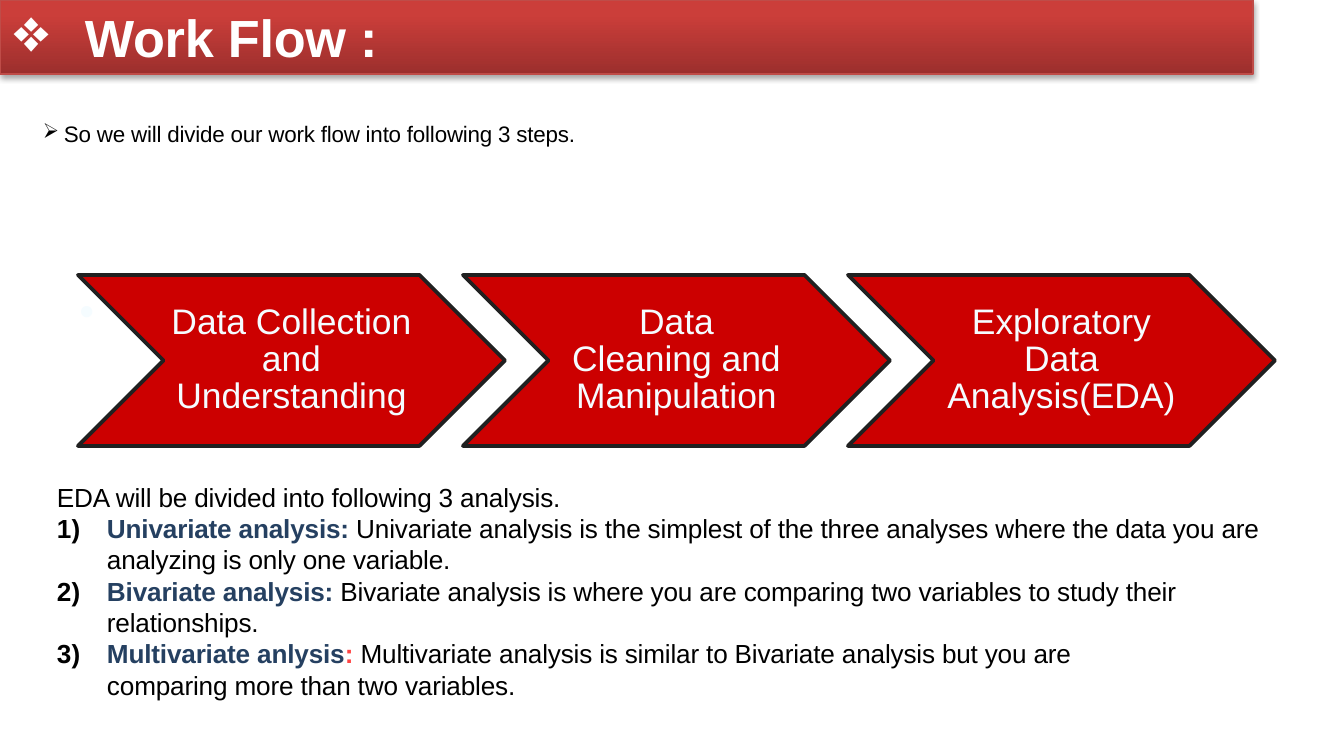
from lxml.etree import SubElement
from pptx import Presentation
from pptx.dml.color import RGBColor
from pptx.enum.shapes import MSO_SHAPE
from pptx.enum.text import MSO_ANCHOR, PP_ALIGN
from pptx.oxml.ns import qn
from pptx.util import Pt

SCALE = 914400 / 134.4
WHITE = RGBColor(0xFF, 0xFF, 0xFF)
BLACK = RGBColor(0, 0, 0)
PALE = RGBColor(0xF5, 0xFC, 0xFF)
RED = RGBColor(0xCC, 0, 0)
DARK = RGBColor(0x20, 0x20, 0x20)
NAVY = RGBColor(0x25, 0x40, 0x61)
CORAL = RGBColor(0xFF, 0x46, 0x46)
EDGE = RGBColor(0xBF, 0x4C, 0x48)
LOW = RGBColor(0x9C, 0x2F, 0x2D)
HIGH = RGBColor(0xCB, 0x3E, 0x3A)

STEPS = [
    "Data Collection\vand\vUnderstanding",
    "Data\vCleaning and\vManipulation",
    "Exploratory\vData\vAnalysis(EDA)",
]
KINDS = [
    [("Univariate analysis: ", NAVY),
     ("Univariate analysis is the simplest of the three analyses where "
      "the data you are analyzing is only one variable.", None)],
    [("Bivariate analysis: ", NAVY),
     ("Bivariate analysis is where you are comparing two variables to "
      "study their relationships.", None)],
    [("Multivariate anlysis", NAVY), (": ", CORAL),
     ("Multivariate analysis is similar to Bivariate analysis but you are",
      None),
     ("\v", None),
     ("comparing more than two variables.", None)],
]


def px(num):
    """Turn pixels into EMU."""
    return round(num * SCALE)


def style(para, size, color, bold=False):
    """Set the font of a whole paragraph."""
    font = para.font
    font.name, font.size, font.bold = "Arial", Pt(size), bold
    font.color.rgb = color


def write(para, text):
    """Add a slightly tightened run."""
    run = para.add_run()
    run.text = text
    run._r.get_or_add_rPr().set("spc", "-10")
    return run


def mark(para, left, hang, tag, **attrs):
    """Give a paragraph a hanging bullet or number."""
    props = para._p.get_or_add_pPr()
    props.set("marL", str(px(left)))
    props.set("indent", str(-px(hang)))
    if "size" in attrs:
        SubElement(props, qn("a:buSzPct"), val=attrs.pop("size"))
    SubElement(props, qn("a:" + tag), **attrs)


def clear(frame):
    """Wrap the text and drop the insets."""
    frame.word_wrap = True
    frame.margin_left = frame.margin_right = 0
    frame.margin_top = frame.margin_bottom = 0
    return frame


def add_text(slide, box):
    """Add a text box without insets and return its frame."""
    return clear(slide.shapes.add_textbox(*map(px, box)).text_frame)


def add_block(slide, kind, box, edge, width):
    """Add an outlined shape without a shadow."""
    shape = slide.shapes.add_shape(kind, *map(px, box))
    shape.shadow.inherit = False
    shape.line.color.rgb = edge
    shape.line.width = Pt(width)
    frame = clear(shape.text_frame)
    frame.vertical_anchor = MSO_ANCHOR.MIDDLE
    return shape


def add_title(slide, box):
    """Draw the shaded title bar."""
    bar = add_block(slide, MSO_SHAPE.RECTANGLE, box, EDGE, 0.75)
    bar.fill.gradient()
    bar.fill.gradient_angle = 90
    for stop, place, color in zip(bar.fill.gradient_stops, (0, 0.8),
                                  (LOW, HIGH)):
        stop.position = place
        stop.color.rgb = color
    glow = SubElement(bar._element.spPr.find(qn("a:effectLst")),
                      qn("a:outerShdw"), blurRad=str(Pt(3.1)),
                      dist=str(Pt(1.8)), dir="5400000", rotWithShape="0")
    tint = SubElement(glow, qn("a:srgbClr"), val="000000")
    SubElement(tint, qn("a:alpha"), val="35000")
    para = bar.text_frame.paragraphs[0]
    para.alignment = PP_ALIGN.LEFT
    mark(para, 85, 71, "buChar", size="117000", char="❖")
    style(para, 28, WHITE, True)
    write(para, "Work Flow :")


def add_intro(slide, box):
    """Write the bulleted opening line."""
    para = add_text(slide, box).paragraphs[0]
    mark(para, 21, 21, "buChar", size="93000", char="➢")
    style(para, 12, BLACK)
    write(para, "So we will divide our work flow into following 3 steps.")


def add_dot(slide, box):
    """Set the pale dot beside the first step."""
    para = add_text(slide, box).paragraphs[0]
    style(para, 14, PALE)
    write(para, "●")


def add_steps(slide, box):
    """Lay out the chevrons at an even pitch across the box."""
    left, top, width, height = box
    wide = 427
    pitch = (width - wide) / (len(STEPS) - 1)
    for i, label in enumerate(STEPS):
        step = add_block(slide, MSO_SHAPE.CHEVRON,
                         (left + i * pitch, top, wide, height), DARK, 2)
        step.fill.solid()
        step.fill.fore_color.rgb = RED
        SubElement(step.line._get_or_add_ln(), qn("a:round"))
        para = step.text_frame.paragraphs[0]
        para.text = label
        para.alignment = PP_ALIGN.CENTER
        para.line_spacing = 0.86
        style(para, 19, PALE)


def add_kinds(slide, box):
    """Write the numbered list of analyses."""
    frame = add_text(slide, box)
    head = frame.paragraphs[0]
    style(head, 14, BLACK)
    write(head, "EDA will be divided into following 3 analysis.")
    head._p.get_or_add_pPr().set("marL", str(px(2)))
    for parts in KINDS:
        para = frame.add_paragraph()
        props = para._p.get_or_add_pPr()
        tint = SubElement(props, qn("a:buClr"))
        SubElement(tint, qn("a:srgbClr"), val="000000")
        mark(para, 52, 50, "buAutoNum", type="arabicParenR")
        style(para, 14, BLACK)
        for text, color in parts:
            if text == "\v":
                para.add_line_break()
                continue
            run = write(para, text)
            if color:
                run.font.bold = True
                run.font.color.rgb = color


def main():
    """Build the slide and save it."""
    deck = Presentation()
    deck.slide_width, deck.slide_height = px(1344), px(756)
    slide = deck.slides.add_slide(deck.slide_layouts[6])
    add_title(slide, (0, 0, 1253, 74))
    add_intro(slide, (43, 120, 632, 28))
    add_dot(slide, (79, 293, 20, 35))
    add_steps(slide, (78, 275, 1197, 171))
    add_kinds(slide, (55, 481, 1232, 223))
    deck.save("out.pptx")


if __name__ == "__main__":
    main()
